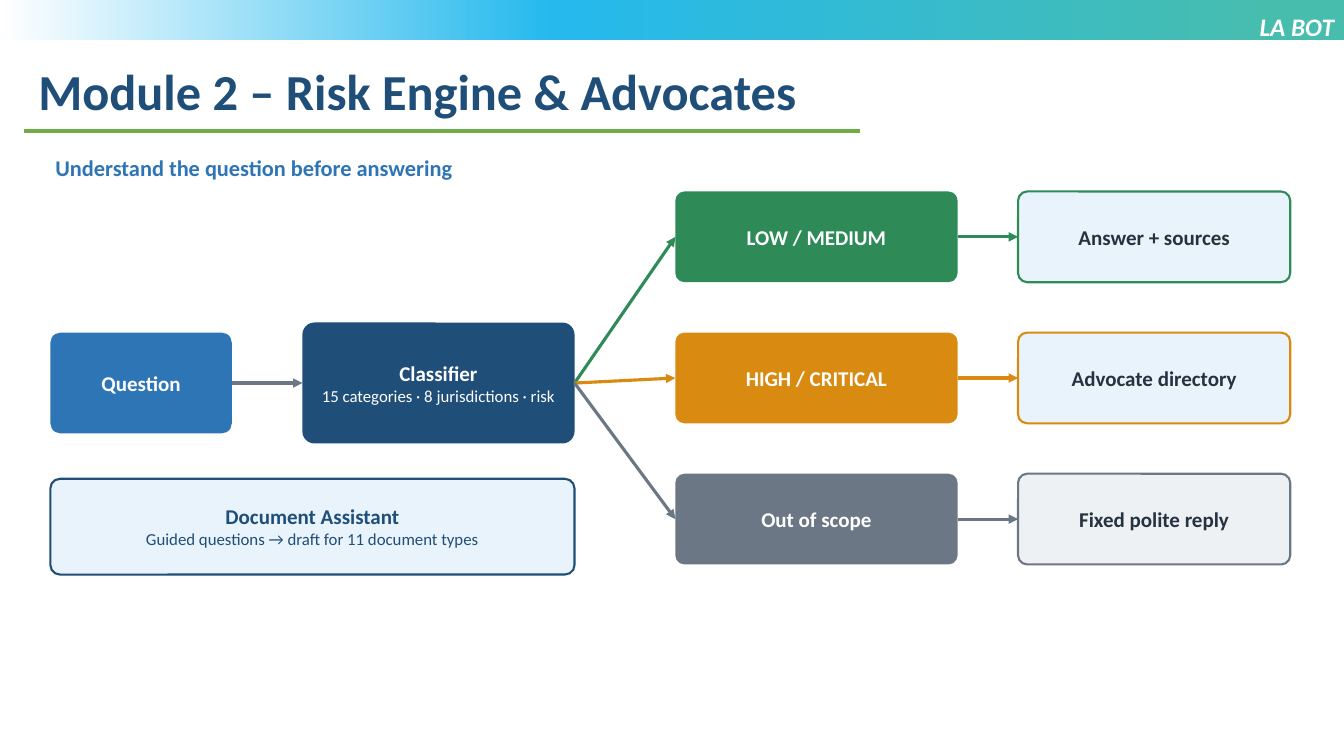
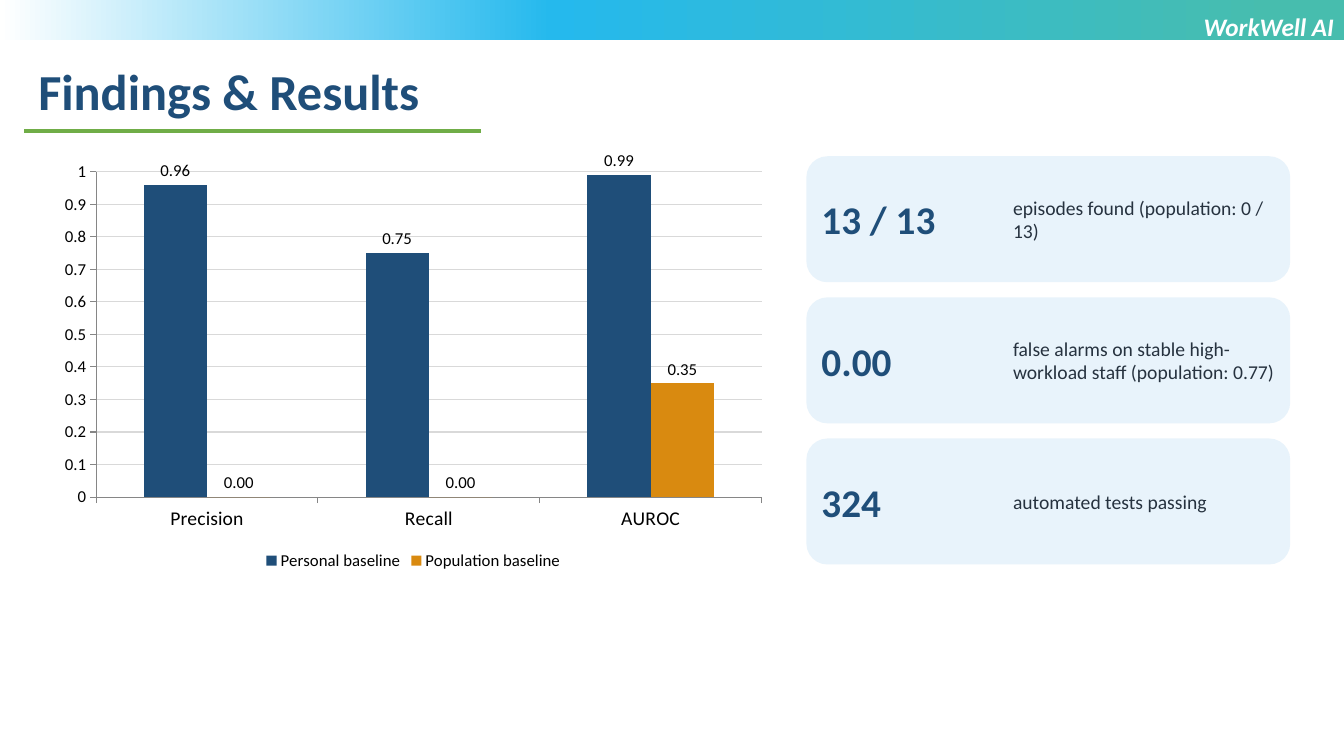
from copy import deepcopy
from dataclasses import dataclass

from lxml.etree import SubElement
from pptx import Presentation
from pptx.chart.data import CategoryChartData
from pptx.dml.color import RGBColor
from pptx.enum.chart import XL_CHART_TYPE as ChartType
from pptx.enum.chart import XL_LABEL_POSITION as LabelPosition
from pptx.enum.chart import XL_LEGEND_POSITION as LegendPosition
from pptx.enum.chart import XL_TICK_MARK as TickMark
from pptx.enum.shapes import MSO_CONNECTOR as Connector
from pptx.enum.shapes import MSO_SHAPE as Preset
from pptx.enum.text import MSO_ANCHOR as Anchor
from pptx.enum.text import MSO_AUTO_SIZE as AutoSize
from pptx.enum.text import PP_ALIGN as Align
from pptx.oxml.ns import qn
from pptx.util import Inches, Pt


@dataclass(frozen=True)
class Theme:
    font: str = "Calibri"
    navy: str = "1F4E79"
    blue: str = "2E75B6"
    green: str = "2E8B57"
    amber: str = "D98A10"
    slate: str = "6B7785"
    pale_blue: str = "E8F3FB"
    pale_grey: str = "EEF1F4"
    ink: str = "26323F"
    white: str = "FFFFFF"
    black: str = "000000"
    rule: str = "70AD47"
    gridline: str = "D9D9D9"
    axis: str = "868686"
    band: tuple = ((0.05, "47BDAE"), (0.59, "25B9ED"), (1, "FFFFFF"))
    title_size: int = 36
    metric_size: int = 28
    brand_size: int = 18
    subtitle_size: int = 16
    box_size: int = 15
    body_size: int = 14
    small_size: int = 12
    line_width: float = 2.25
    outline_width: float = 1.5
    grid_width: float = 0.75


THEME = Theme()
WIDTH, HEIGHT = 133.33, 75
RIGHT, LEFT = 3, 1
BOX_INSET = (0.8, 0.4)
TEXT_INSET = (0.5, 0.3)
FRAME_INSET = (1, 0.5)


def cells(count):
    """Length of a number of grid cells, ten to the inch."""
    return Inches(count / 10)


def colour(code):
    return RGBColor.from_string(code)


def apply(target, **values):
    for name, value in values.items():
        setattr(target, name, value)


class Deck:
    """Style and current slide; areas are (left, top, width, height) in cells."""

    def __init__(self, theme):
        self.theme = theme
        self.presentation = Presentation()
        apply(self.presentation, slide_width=cells(WIDTH), slide_height=cells(HEIGHT))
        self.slide = None

    def start_slide(self, title, brand, rule_length):
        first = self.slide is None
        self.slide = self.presentation.slides.add_slide(self.presentation.slide_layouts[5])
        if first:
            self.add_band()
        theme = self.theme
        placeholder = self.slide.shapes.title
        self.place(placeholder, (2.8, 5.5, 116.2, 7.1))
        self.fill_text(placeholder, [(title, theme.title_size, True)], theme.navy,
                       anchor=Anchor.TOP, inset=FRAME_INSET)
        self.line((2.4, 13), (2.4 + rule_length, 13), theme.rule)
        self.text((WIDTH / 2, 0.6, WIDTH / 2, 7.1), [(brand, theme.brand_size, True)],
                  theme.white, align=Align.RIGHT, inset=FRAME_INSET, italic=True)

    def place(self, shape, area):
        for name, count in zip(("left", "top", "width", "height"), area):
            setattr(shape, name, cells(count))

    def add_band(self):
        """Put the gradient band on the master, behind everything."""
        band = self.shape((0, 0, WIDTH, 4), self.theme.white, preset=Preset.RECTANGLE)
        band.fill.gradient()
        band.fill.gradient_angle = 180
        stop_list = band.element.find(".//" + qn("a:gsLst"))
        stop_list.append(deepcopy(stop_list[0]))
        for stop, (position, code) in zip(band.fill.gradient_stops, self.theme.band):
            stop.color.rgb = colour(code)
            stop.position = position
        band.element.nvSpPr.cNvPr.id = 20
        self.presentation.slide_master.shapes.element.insert(2, band.element)

    def fill_text(self, shape, lines, code, align=Align.LEFT, anchor=Anchor.TOP,
                  inset=TEXT_INSET, italic=False):
        """Fill a shape with paragraphs given as (text, size, bold)."""
        frame = shape.text_frame
        side, edge = map(cells, inset)
        apply(frame, word_wrap=True, auto_size=AutoSize.NONE, vertical_anchor=anchor,
              margin_left=side, margin_right=side, margin_top=edge, margin_bottom=edge)
        for index, (text, size, bold) in enumerate(lines):
            paragraph = frame.add_paragraph() if index else frame.paragraphs[0]
            paragraph.alignment = align
            run = paragraph.add_run()
            run.text = text
            self.style_font(run.font, size, code, bold=bold, italic=italic)

    def style_font(self, font, size, code, **formats):
        apply(font, name=self.theme.font, size=Pt(size), **formats)
        font.color.rgb = colour(code)

    def text(self, area, lines, code, **formats):
        box = self.slide.shapes.add_textbox(*map(cells, area))
        self.fill_text(box, lines, code, **formats)

    def shape(self, area, fill, outline=None, preset=Preset.ROUNDED_RECTANGLE):
        shape = self.slide.shapes.add_shape(preset, *map(cells, area))
        shape.shadow.inherit = False
        shape.fill.solid()
        shape.fill.fore_color.rgb = colour(fill)
        if outline:
            self.style_line(shape.line, outline, self.theme.outline_width)
        else:
            shape.line.fill.background()
        return shape

    def style_line(self, line, code, width):
        line.color.rgb = colour(code)
        line.width = Pt(width)

    def box(self, area, heading, fill, code, detail=None, outline=None):
        box = self.shape(area, fill, outline)
        box.adjustments[0] = 0.1
        lines = [(heading, self.theme.box_size, True)]
        if detail:
            lines.append((detail, self.theme.small_size, False))
        self.fill_text(box, lines, code, Align.CENTER, Anchor.MIDDLE, BOX_INSET)
        return box

    def line(self, start, end, code):
        connector = self.slide.shapes.add_connector(
            Connector.STRAIGHT, *map(cells, (*start, *end)))
        self.style_line(connector.line, code, self.theme.line_width)
        SubElement(connector.element.spPr, qn("a:effectLst"))
        return connector

    def arrow(self, source, target, code):
        """Join the right side of one box to the left side of another."""
        connector = self.line((0, 0), (1, 1), code)
        connector.begin_connect(source, RIGHT)
        connector.end_connect(target, LEFT)
        outline = connector.element.spPr.find(qn("a:ln"))
        SubElement(outline, qn("a:tailEnd"), type="triangle")

    def column_chart(self, area, categories, series_values, series_colours):
        theme = self.theme
        data = CategoryChartData()
        data.categories = categories
        for name, values in series_values.items():
            data.add_series(name, values)
        chart = self.slide.shapes.add_chart(
            ChartType.COLUMN_CLUSTERED, *map(cells, area), data).chart
        apply(chart, has_title=False, has_legend=True)
        self.style_font(chart.font, theme.brand_size, theme.black)
        apply(chart.legend, position=LegendPosition.BOTTOM, include_in_layout=False)
        self.style_font(chart.legend.font, theme.small_size, theme.black)

        value_axis = chart.value_axis
        apply(value_axis, minimum_scale=0, maximum_scale=1, major_unit=0.1,
              has_major_gridlines=True)
        self.style_line(value_axis.major_gridlines.format.line, theme.gridline,
                        theme.grid_width)
        for axis, size in ((chart.category_axis, theme.body_size),
                           (value_axis, theme.small_size)):
            axis.major_tick_mark = TickMark.OUTSIDE
            self.style_line(axis.format.line, theme.axis, theme.grid_width)
            self.style_font(axis.tick_labels.font, size, theme.black)

        plot = chart.plots[0]
        apply(plot, gap_width=150, overlap=0, vary_by_categories=False)
        for series, code in zip(plot.series, series_colours):
            series.format.fill.solid()
            series.format.fill.fore_color.rgb = colour(code)
            labels = series.data_labels
            apply(labels, show_value=True, number_format="0.00",
                  number_format_is_linked=False, position=LabelPosition.OUTSIDE_END)
            self.style_font(labels.font, theme.small_size, theme.black)

    def metric(self, top, figure, caption):
        theme = self.theme
        self.shape((80, top, 48, 12.5), theme.pale_blue)
        for left, width, line, code in (
                (81, 19, (figure, theme.metric_size, True), theme.navy),
                (100, 27, (caption, theme.body_size, False), theme.ink)):
            self.text((left, top + 0.5, width, 11.5), [line], code, anchor=Anchor.MIDDLE)


def add_risk_slide(deck):
    theme = deck.theme
    deck.start_slide("Module 2 – Risk Engine & Advocates", "LA BOT", 82.9)
    deck.text((5, 15, 120, 4),
              [("Understand the question before answering", theme.subtitle_size, True)],
              theme.blue)
    question = deck.box((5, 33, 18, 10), "Question", theme.blue, theme.white)
    classifier = deck.box((30, 32, 27, 12), "Classifier", theme.navy, theme.white,
                          detail="15 categories · 8 jurisdictions · risk")
    deck.arrow(question, classifier, theme.slate)
    lanes = (
        ("LOW / MEDIUM", "Answer + sources", theme.green, theme.pale_blue),
        ("HIGH / CRITICAL", "Advocate directory", theme.amber, theme.pale_blue),
        ("Out of scope", "Fixed polite reply", theme.slate, theme.pale_grey),
    )
    for index, (risk, reply, code, pale) in enumerate(lanes):
        top = 19 + 14 * index
        risk_box = deck.box((67, top, 28, 9), risk, code, theme.white)
        reply_box = deck.box((101, top, 27, 9), reply, pale, theme.ink, outline=code)
        deck.arrow(classifier, risk_box, code)
        deck.arrow(risk_box, reply_box, code)
    deck.box((5, 47.5, 52, 9.5), "Document Assistant", theme.pale_blue, theme.navy,
             detail="Guided questions → draft for 11 document types", outline=theme.navy)


def add_results_slide(deck):
    theme = deck.theme
    deck.start_slide("Findings & Results", "WorkWell AI", 45.3)
    deck.column_chart((5, 15, 72, 42), ("Precision", "Recall", "AUROC"),
                      {"Personal baseline": (0.96, 0.75, 0.99),
                       "Population baseline": (0, 0, 0.35)},
                      (theme.navy, theme.amber))
    metrics = (
        ("13 / 13", "episodes found (population: 0 / 13)"),
        ("0.00", "false alarms on stable high-workload staff (population: 0.77)"),
        ("324", "automated tests passing"),
    )
    for index, (figure, caption) in enumerate(metrics):
        deck.metric(15.5 + 14 * index, figure, caption)


def main():
    deck = Deck(THEME)
    add_risk_slide(deck)
    add_results_slide(deck)
    deck.presentation.save("out.pptx")


if __name__ == "__main__":
    main()
